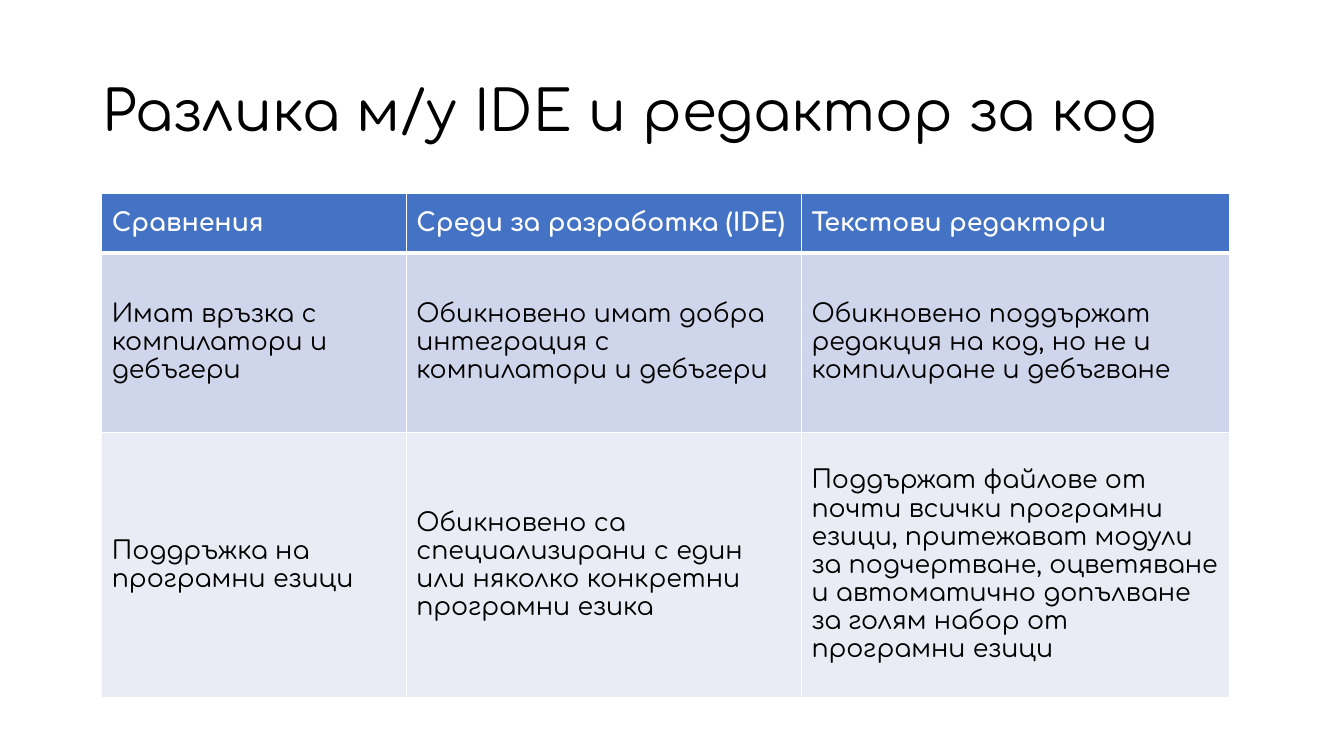
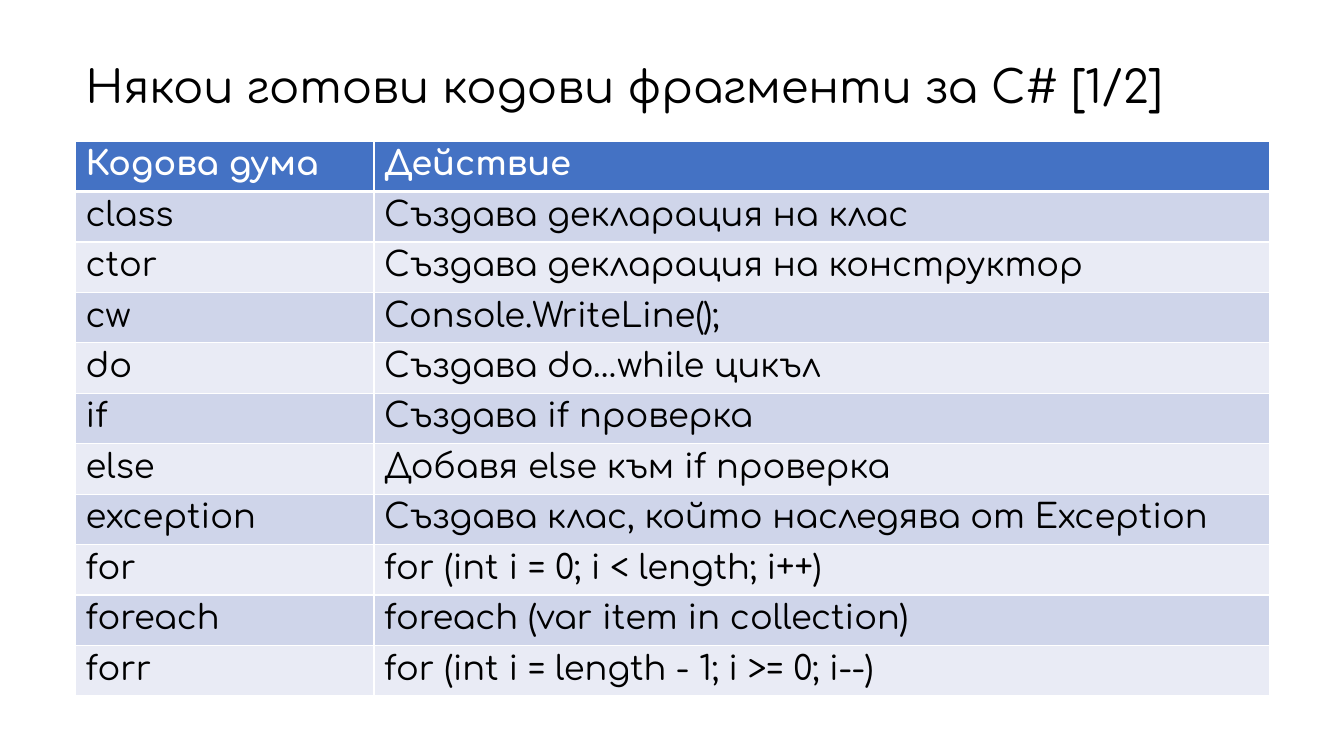
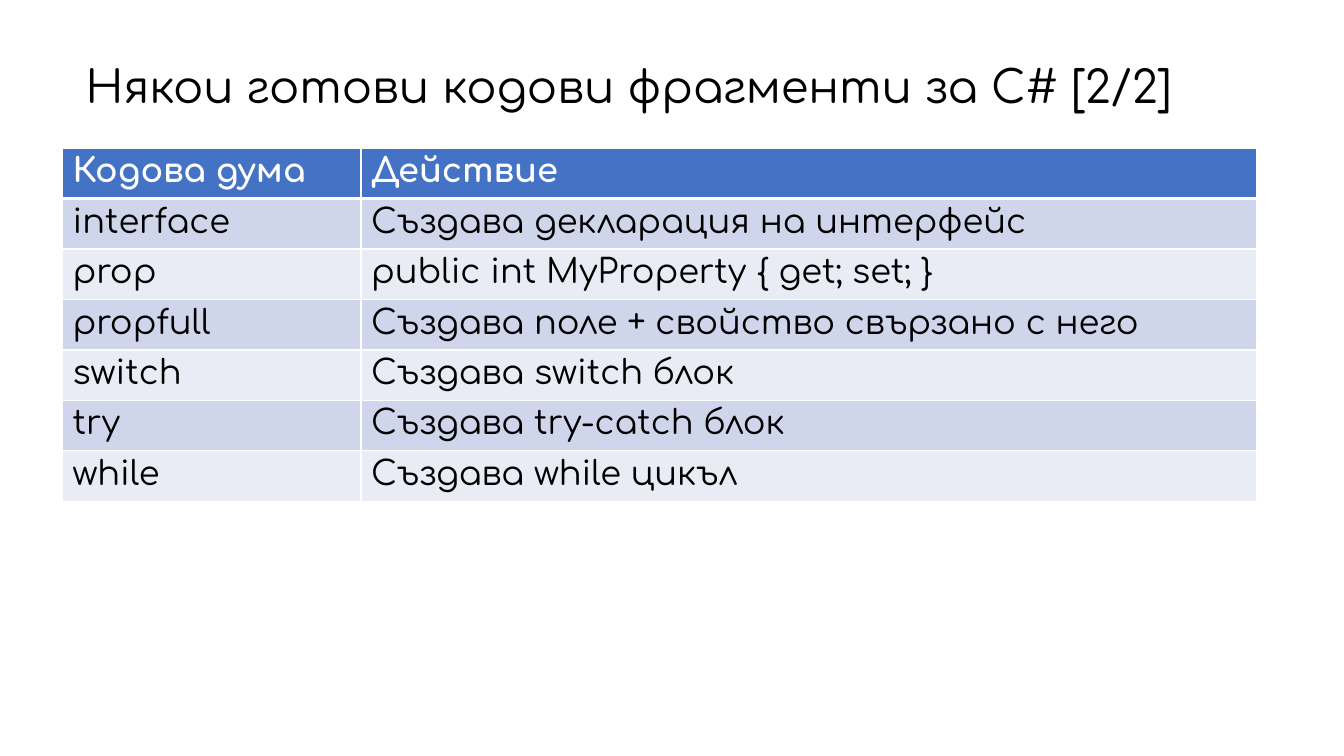
import pptx
import pptx.dml.color
import pptx.enum.text
import pptx.oxml
import pptx.oxml.ns
import pptx.util
import lxml.etree

Inches = pptx.util.Inches
Pt = pptx.util.Pt
ANCHOR = pptx.enum.text.MSO_ANCHOR
FONT = "Comfortaa"
HEAD = "4472C4"
BANDS = ["CFD5EA", "E9EBF5"]
WHITE = "FFFFFF"
BLACK = "000000"


def color(code):
    return pptx.dml.color.RGBColor.from_string(code)


def style(para, size, code, bold=False):
    for run in para.runs:
        run.font.name = FONT
        run.font.size = Pt(size)
        run.font.bold = bold
        run.font.color.rgb = color(code)


def border(cell, top, bottom):
    props = cell._tc.get_or_add_tcPr()
    qn = pptx.oxml.ns.qn
    sides = [("a:lnL", 1), ("a:lnR", 1), ("a:lnT", top), ("a:lnB", bottom)]
    for index, (side, width) in enumerate(sides):
        line = lxml.etree.Element(qn(side), w=str(Pt(width)))
        fill = lxml.etree.SubElement(line, qn("a:solidFill"))
        lxml.etree.SubElement(fill, qn("a:srgbClr"), val=WHITE)
        props.insert(index, line)


def title(slide, text, box, size):
    frame = slide.shapes.add_textbox(*map(Inches, box)).text_frame
    frame.word_wrap = True
    frame.vertical_anchor = ANCHOR.MIDDLE
    frame.text = text
    para = frame.paragraphs[0]
    para.line_spacing = 0.9
    style(para, size, BLACK)


def grid(slide, data, left, top, widths, heights, size, anchor):
    table = slide.shapes.add_table(
        len(data), len(widths), Inches(left), Inches(top),
        Inches(sum(widths)), Inches(sum(heights))).table
    for column, width in zip(table.columns, widths):
        column.width = Inches(width)
    for row, height in zip(table.rows, heights):
        row.height = Inches(height)
    for r, texts in enumerate(data):
        head = r == 0
        for c, text in enumerate(texts):
            cell = table.cell(r, c)
            cell.text = text
            cell.vertical_anchor = anchor
            cell.fill.solid()
            cell.fill.fore_color.rgb = color(HEAD if head else BANDS[(r - 1) % 2])
            border(cell, 3 if r == 1 else 1, 3 if head else 1)
            style(cell.text_frame.paragraphs[0], size,
                  WHITE if head else BLACK, head)


def compare(slide):
    data = [
        ("Сравнения", "Среди за разработка (IDE)", "Текстови редактори"),
        ("Имат връзка с компилатори и дебъгери",
         "Обикновено имат добра интеграция с компилатори и дебъгери",
         "Обикновено поддържат редакция на код, но не и компилиране и дебъгване"),
        ("Поддръжка на програмни езици",
         "Обикновено са специализирани с един или няколко конкретни програмни езика",
         "Поддържат файлове от почти всички програмни езици, притежават модули "
         "за подчертване, оцветяване и автоматично допълване за голям набор "
         "от програмни езици"),
    ]
    grid(slide, data, 1.01, 1.92, [3.02, 3.92, 4.25], [0.59, 1.78, 2.63],
         18, ANCHOR.MIDDLE)
    title(slide, "Разлика м/у IDE и редактор за код", (0.92, 0.4, 11.5, 1.45), 40)


def snippets(slide, part, left, top, rows):
    data = [("Кодова дума", "Действие")] + rows
    grid(slide, data, left, top, [2.96, 8.88], [0.47] * len(data), 24, ANCHOR.TOP)
    title(slide, f"Някои готови кодови фрагменти за C# [{part}/2]",
          (0.75, 0.35, 11.83, 1.06), 32)


def main():
    deck = pptx.Presentation()
    deck.slide_width = Inches(13.33)
    deck.slide_height = Inches(7.5)
    blank = deck.slide_layouts[6]
    compare(deck.slides.add_slide(blank))
    snippets(deck.slides.add_slide(blank), 1, 0.75, 1.4, [
        ("class", "Създава декларация на клас"),
        ("ctor", "Създава декларация на конструктор"),
        ("cw", "Console.WriteLine();"),
        ("do", "Създава do…while цикъл"),
        ("if", "Създава if проверка"),
        ("else", "Добавя else към if проверка"),
        ("exception", "Създава клас, който наследява от Exception"),
        ("for", "for (int i = 0; i < length; i++)"),
        ("foreach", "foreach (var item in collection)"),
        ("forr", "for (int i = length - 1; i >= 0; i--)"),
    ])
    snippets(deck.slides.add_slide(blank), 2, 0.62, 1.47, [
        ("interface", "Създава декларация на интерфейс"),
        ("prop", "public int MyProperty { get; set; }"),
        ("propfull", "Създава поле + свойство свързано с него"),
        ("switch", "Създава switch блок"),
        ("try", "Създава try-catch блок"),
        ("while", "Създава while цикъл"),
    ])
    deck.save("out.pptx")


if __name__ == "__main__":
    main()
